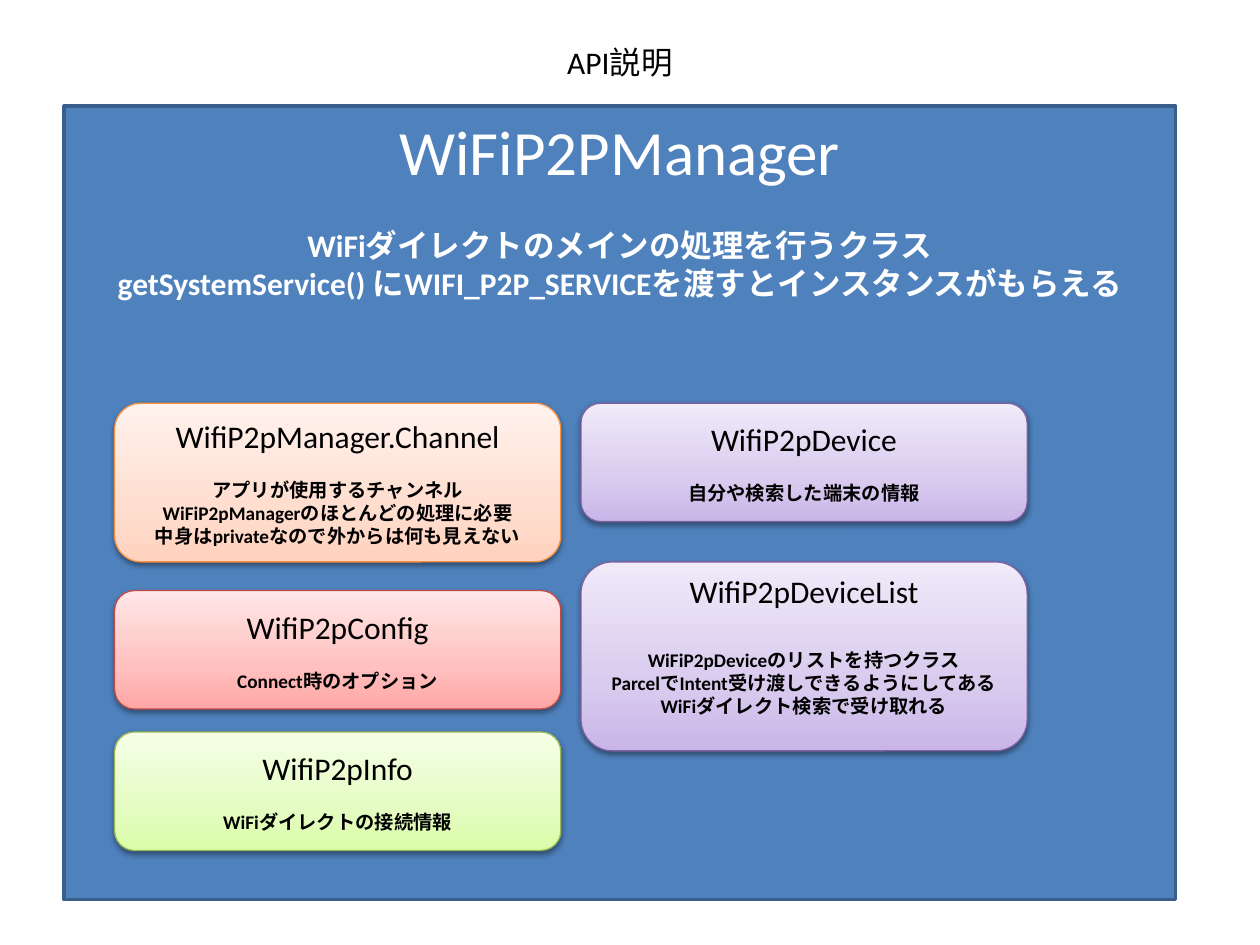
from dataclasses import dataclass

from lxml import etree
from pptx import Presentation
from pptx import util as u
from pptx.dml.color import RGBColor
from pptx.enum import shapes, text
from pptx.oxml.ns import qn

Pt = u.Pt


@dataclass(frozen=True)
class Palette:
    """Outline colour and gradient stops, from bottom to top."""
    line: str
    stops: tuple[str, str, str]


@dataclass(frozen=True)
class Theme:
    """Colours and type sizes of the slide."""
    font: str = "Calibri"
    dark: str = "000000"
    light: str = "FFFFFF"
    panel: str = "4F81BD"
    panel_line: str = "3A5F8C"
    orange: Palette = Palette("F69240", ("FFD2BD", "FFDED0", "FFF2ED"))
    purple: Palette = Palette("7D60A0", ("C9B5E8", "D8CBEE", "F0EAF9"))
    red: Palette = Palette("BF4C48", ("FFA6A5", "FFC0BF", "FFE7E7"))
    green: Palette = Palette("98B955", ("DAFDA7", "E4FCC2", "F5FFE7"))
    display: float = 36
    heading: float = 18
    note: float = 11


@dataclass(frozen=True)
class Card:
    """One class of the API with its description."""
    left: float
    top: float
    height: float
    palette: Palette
    name: str
    notes: tuple[str, ...]
    gap: float = 13.4
    bottom_inset: float = 3.6


THEME = Theme()
MARGIN, CONTENT_WIDTH = 36.7, 635
CARD_WIDTH, SMALL = 255, 67.7
LEFT_COLUMN, RIGHT_COLUMN = 65.5, 332
FIRST_ROW = 230.4
GRADIENT_POSITIONS = (0, 35000, 100000)

CARDS = (
    Card(LEFT_COLUMN, FIRST_ROW, 90.7, THEME.orange, "WifiP2pManager.Channel",
         ("アプリが使用するチャンネル", "WiFiP2pManagerのほとんどの処理に必要",
          "中身はprivateなので外からは何も見えない")),
    Card(RIGHT_COLUMN, FIRST_ROW, SMALL, THEME.purple, "WifiP2pDevice",
         ("自分や検索した端末の情報",)),
    Card(LEFT_COLUMN, 337.5, SMALL, THEME.red, "WifiP2pConfig",
         ("Connect時のオプション",)),
    Card(RIGHT_COLUMN, 321.1, 108, THEME.purple, "WifiP2pDeviceList",
         ("WiFiP2pDeviceのリストを持つクラス",
          "ParcelでIntent受け渡しできるようにしてあるWiFiダイレクト検索で受け取れる"),
         gap=22, bottom_inset=17),
    Card(LEFT_COLUMN, 418.3, SMALL, THEME.green, "WifiP2pInfo",
         ("WiFiダイレクトの接続情報",)),
)


def format_paragraph(paragraph, size: float, color: str, bold: bool = False) -> None:
    """Centre a paragraph and set its font."""
    paragraph.alignment = text.PP_ALIGN.CENTER
    font = paragraph.font
    font.name, font.size, font.bold = THEME.font, Pt(size), bold
    font.color.rgb = RGBColor.from_string(color)


def write_block(frame, heading: str, heading_size: float, lines: tuple[str, ...],
                line_size: float, gap: float, color: str) -> None:
    """Write a heading, a gap and bold lines below it."""
    frame.word_wrap = True
    first = frame.paragraphs[0]
    first.text = heading
    first.space_after = Pt(gap)
    format_paragraph(first, heading_size, color)
    for line in lines:
        paragraph = frame.add_paragraph()
        paragraph.text = line
        format_paragraph(paragraph, line_size, color, bold=True)


def add_box(slide, kind, left: float, top: float, width: float, height: float,
            line_color: str, line_width: float):
    """Add an outlined shape without a shadow."""
    shape = slide.shapes.add_shape(kind, Pt(left), Pt(top), Pt(width), Pt(height))
    shape.shadow.inherit = False
    shape.line.color.rgb = RGBColor.from_string(line_color)
    shape.line.width = Pt(line_width)
    return shape


def add_color(parent, color: str):
    """Append an RGB colour element."""
    return etree.SubElement(parent, qn("a:srgbClr"), val=color)


def set_gradient(shape, colors: tuple[str, str, str]) -> None:
    """Fill a shape with a three-stop gradient rising from the bottom."""
    shape.fill.gradient()
    shape.fill.gradient_angle = 90
    stop_list = shape._element.spPr.find(qn("a:gradFill")).find(qn("a:gsLst"))
    for stop in list(stop_list):
        stop_list.remove(stop)
    for position, color in zip(GRADIENT_POSITIONS, colors):
        add_color(etree.SubElement(stop_list, qn("a:gs"), pos=str(position)), color)


def add_soft_shadow(shape) -> None:
    """Put a soft shadow below a shape."""
    effects = shape._element.spPr.find(qn("a:effectLst"))
    shadow = etree.SubElement(effects, qn("a:outerShdw"), blurRad=str(Pt(3.1)),
                              dist=str(Pt(1.6)), dir="5400000", rotWithShape="0")
    etree.SubElement(add_color(shadow, THEME.dark), qn("a:alpha"), val="38000")


def add_title(slide) -> None:
    """Place and format the slide title."""
    title = slide.shapes.title
    title.left, title.top = Pt(MARGIN), Pt(20.9)
    title.width, title.height = Pt(CONTENT_WIDTH), Pt(29)
    frame = title.text_frame
    frame.text = "API説明"
    frame.auto_size = text.MSO_AUTO_SIZE.NONE
    frame.vertical_anchor = text.MSO_ANCHOR.MIDDLE
    format_paragraph(frame.paragraphs[0], THEME.heading, THEME.dark)


def add_panel(slide) -> None:
    """Draw the panel of the main class."""
    panel = add_box(slide, shapes.MSO_SHAPE.RECTANGLE, MARGIN, 60.5,
                    CONTENT_WIDTH, 453.6, THEME.panel_line, 2)
    panel.fill.solid()
    panel.fill.fore_color.rgb = RGBColor.from_string(THEME.panel)
    panel.text_frame.vertical_anchor = text.MSO_ANCHOR.TOP
    write_block(panel.text_frame, "WiFiP2PManager", THEME.display,
                ("WiFiダイレクトのメインの処理を行うクラス",
                 "getSystemService() にWIFI_P2P_SERVICEを渡すとインスタンスがもらえる"),
                THEME.heading, 22, THEME.light)


def add_card(slide, card: Card) -> None:
    """Draw one class card."""
    shape = add_box(slide, shapes.MSO_SHAPE.ROUNDED_RECTANGLE, card.left, card.top,
                    CARD_WIDTH, card.height, card.palette.line, 0.75)
    set_gradient(shape, card.palette.stops)
    add_soft_shadow(shape)
    frame = shape.text_frame
    frame.vertical_anchor = text.MSO_ANCHOR.MIDDLE
    frame.margin_bottom = Pt(card.bottom_inset)
    write_block(frame, card.name, THEME.heading, card.notes, THEME.note,
                card.gap, THEME.dark)


def main() -> None:
    """Build and save the slide."""
    presentation = Presentation()
    presentation.slide_width, presentation.slide_height = Pt(720), Pt(540)
    slide = presentation.slides.add_slide(presentation.slide_layouts[5])
    add_title(slide)
    add_panel(slide)
    for card in CARDS:
        add_card(slide, card)
    presentation.save("out.pptx")


main()
